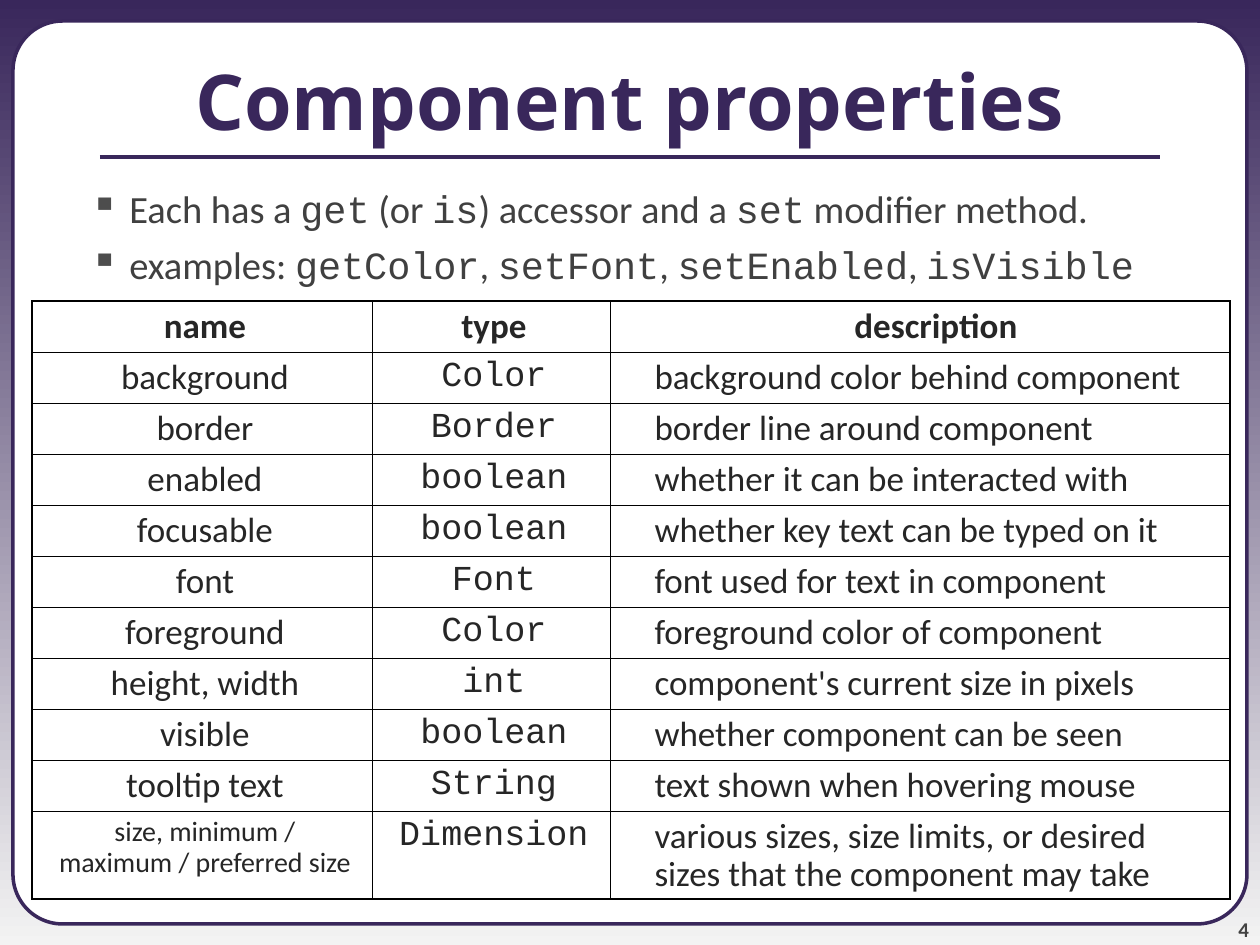
"""Build the slide on component properties with its table."""
from lxml.etree import SubElement
from pptx import Presentation
from pptx.dml.color import RGBColor
from pptx.enum.shapes import MSO_CONNECTOR, MSO_SHAPE
from pptx.enum.text import MSO_ANCHOR, PP_ALIGN
from pptx.oxml import parse_xml
from pptx.oxml.ns import nsdecls, qn
from pptx.util import Emu, Pt

TITLE = "Component properties"
PAGE_NUMBER = "4"
BULLETS = [
    [("Each has a ", "body"), ("get", "code"), (" (or ", "body"), ("is", "code"),
     (") accessor and a ", "body"), ("set", "code"), (" modifier method.", "body")],
    [("examples: ", "body"), ("getColor", "code"), (", ", "body"), ("setFont", "code"),
     (", ", "body"), ("setEnabled", "code"), (", ", "body"), ("isVisible", "code")],
]
PROPERTIES = [
    ("name", "type", "description"),
    ("background", "Color", "background color behind component"),
    ("border", "Border", "border line around component"),
    ("enabled", "boolean", "whether it can be interacted with"),
    ("focusable", "boolean", "whether key text can be typed on it"),
    ("font", "Font", "font used for text in component"),
    ("foreground", "Color", "foreground color of component"),
    ("height, width", "int", "component's current size in pixels"),
    ("visible", "boolean", "whether component can be seen"),
    ("tooltip text", "String", "text shown when hovering mouse"),
    ("size, minimum / maximum / preferred size", "Dimension",
     "various sizes, size limits, or desired sizes that the component may take"),
]
FONTS = {"title": "Open Sans", "body": "Calibri", "code": "Courier New"}
COLORS = {"purple": "39275B", "mist": "F3F3F3", "panel": "FFFFFF", "bullet": "4D4D4D",
          "body": "404040", "cell": "262626", "number": "424242", "border": "000000"}
COLUMN_WIDTHS = [340, 238, 620]
COLUMN_INDENTS = [6, 6, 32]
ROW_HEIGHT, LAST_ROW_HEIGHT = 51, 88
THICK, THIN = 1.08, 0.45


def px(length):
    return Emu(round(length * 914400 / 126))


def box(left, top, width, height):
    return [px(length) for length in (left, top, width, height)]


def rgb(name):
    return RGBColor.from_string(COLORS[name])


def style(run, font, size, color, bold=False):
    run.font.name = FONTS[font]
    run.font.size = Pt(size)
    run.font.bold = bold
    run.font.color.rgb = rgb(color)


def indent(paragraph, left, first=0):
    properties = paragraph._p.get_or_add_pPr()
    properties.set("marL", str(px(left)))
    properties.set("indent", str(px(first)))
    return properties


def add_label(slide, place, text, font, size, color, align, anchor):
    frame = slide.shapes.add_textbox(*place).text_frame
    frame.word_wrap = True
    frame.vertical_anchor = anchor
    frame.text = text
    frame.paragraphs[0].alignment = align
    style(frame.paragraphs[0].runs[0], font, size, color, True)
    return frame


def add_backdrop(slide):
    fill = slide.background.fill
    fill.gradient()
    fill.gradient_angle = 270
    for stop, color in zip(fill.gradient_stops, ("purple", "mist")):
        stop.color.rgb = rgb(color)
    panel = slide.shapes.add_shape(MSO_SHAPE.ROUNDED_RECTANGLE, *box(13, 21, 1234, 903))
    panel.adjustments[0] = 0.055
    panel.shadow.inherit = False
    panel.fill.solid()
    panel.fill.fore_color.rgb = rgb("panel")
    panel.line.color.rgb = rgb("purple")
    panel.line.width = Pt(2)
    rule = slide.shapes.add_connector(MSO_CONNECTOR.STRAIGHT, *box(100, 157, 1160, 157))
    rule.line.color.rgb = rgb("purple")
    rule.line.width = Pt(2.25)
    SubElement(rule._element.spPr, qn("a:effectLst"))


def add_bullets(slide):
    frame = slide.shapes.add_textbox(*box(0, 179, 1260, 122)).text_frame
    frame.word_wrap = True
    for index, pieces in enumerate(BULLETS):
        paragraph = frame.add_paragraph() if index else frame.paragraphs[0]
        paragraph.space_before = Pt(5.5)
        for text, font in pieces:
            run = paragraph.add_run()
            run.text = text
            style(run, font, 22, "body")
        properties = indent(paragraph, 117, -39)
        bullet_color = SubElement(properties, qn("a:buClr"))
        SubElement(bullet_color, qn("a:srgbClr"), val=COLORS["bullet"])
        SubElement(properties, qn("a:buChar"), char="▪")


def set_borders(cell, widths):
    properties = cell._tc.get_or_add_tcPr()
    for position, (side, width) in enumerate(widths.items()):
        properties.insert(position, parse_xml(
            f'<a:ln{side} {nsdecls("a")} w="{Pt(width)}"><a:solidFill>'
            f'<a:srgbClr val="{COLORS["border"]}"/></a:solidFill></a:ln{side}>'))


def add_properties(slide):
    last_row, last_column = len(PROPERTIES) - 1, len(COLUMN_WIDTHS) - 1
    heights = [ROW_HEIGHT] * last_row + [LAST_ROW_HEIGHT]
    place = box(32, 301, sum(COLUMN_WIDTHS), sum(heights))
    table = slide.shapes.add_table(len(heights), len(COLUMN_WIDTHS), *place).table
    table.first_row = table.horz_banding = False
    for column, width in zip(table.columns, COLUMN_WIDTHS):
        column.width = px(width)
    for row, (height, texts) in enumerate(zip(heights, PROPERTIES)):
        table.rows[row].height = px(height)
        for column, text in enumerate(texts):
            header = row == 0
            small = row == last_row and column == 0
            cell = table.cell(row, column)
            cell.text_frame.text = text
            cell.fill.background()
            paragraph = cell.text_frame.paragraphs[0]
            centred = header or column < last_column
            paragraph.alignment = PP_ALIGN.CENTER if centred else PP_ALIGN.LEFT
            paragraph.line_spacing = 0.9
            paragraph.space_before = Pt(4 if small else 5)
            indent(paragraph, COLUMN_INDENTS[column])
            font = "code" if column == 1 and not header else "body"
            style(paragraph.runs[0], font, 16 if small else 20, "cell", header)
            set_borders(cell, {"L": THICK if column == 0 else THIN,
                               "R": THICK if column == last_column else THIN,
                               "T": THICK if header else THIN,
                               "B": THICK if row == last_row else THIN})


def main():
    deck = Presentation()
    deck.slide_width, deck.slide_height = px(1260), px(945)
    slide = deck.slides.add_slide(deck.slide_layouts[6])
    add_backdrop(slide)
    number = add_label(slide, box(1144, 892, 105, 50), PAGE_NUMBER, "body", 12, "number",
                       PP_ALIGN.RIGHT, MSO_ANCHOR.BOTTOM)
    number.margin_left = number.margin_right = number.margin_top = number.margin_bottom = 0
    add_label(slide, box(0, 21, 1260, 158), TITLE, "title", 44, "purple",
              PP_ALIGN.CENTER, MSO_ANCHOR.MIDDLE)
    add_bullets(slide)
    add_properties(slide)
    deck.save("out.pptx")


if __name__ == "__main__":
    main()
